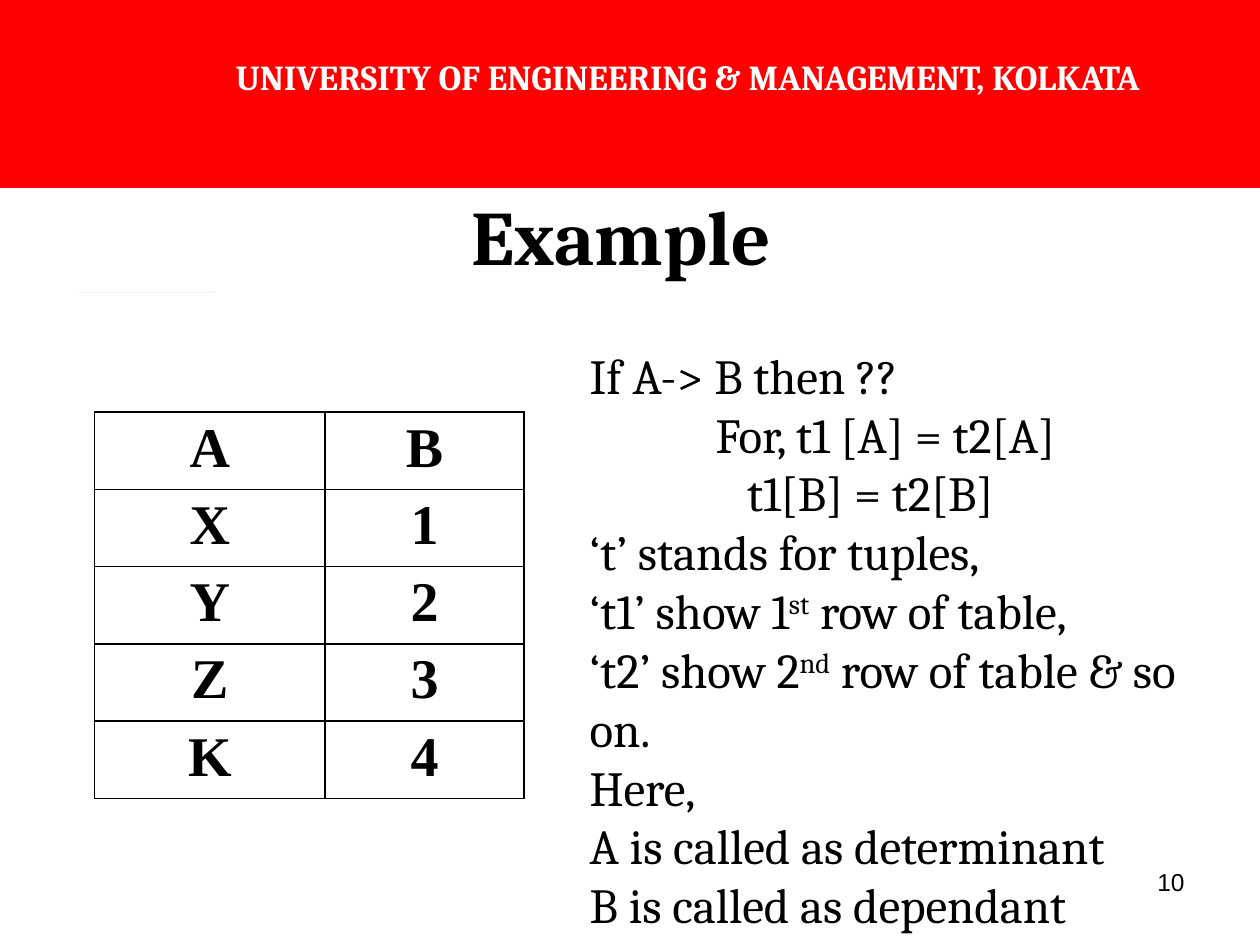
from lxml import etree
from pptx import Presentation
from pptx.dml.color import RGBColor
from pptx.enum.shapes import MSO_SHAPE
from pptx.enum.text import MSO_ANCHOR, MSO_AUTO_SIZE, PP_ALIGN
from pptx.oxml.ns import qn
from pptx.util import Inches, Pt

RECTANGLE = MSO_SHAPE.RECTANGLE
TOP, MIDDLE = MSO_ANCHOR.TOP, MSO_ANCHOR.MIDDLE
NO_AUTOFIT = MSO_AUTO_SIZE.NONE
LEFT, CENTER, RIGHT = PP_ALIGN.LEFT, PP_ALIGN.CENTER, PP_ALIGN.RIGHT

COLORS = {"banner": "FF0000", "accent": "F79646", "ink": "000000", "paper": "FFFFFF"}
PLAIN_TABLE_STYLE = "{2D5ABB26-0587-4C30-8999-92F81FD0307C}"
RELATION = [("A", "B"), ("X", "1"), ("Y", "2"), ("Z", "3"), ("K", "4")]
EXPLANATION = [
    (0, ["If A-> B then ??"]),
    (1, ["For, t1 [A] = t2[A]"]),
    (1.25, ["t1[B] = t2[B]"]),
    (0, ["‘t’ stands for tuples,"]),
    (0, ["‘t1’ show 1", "st", " row of table,"]),
    (0, ["‘t2’ show 2", "nd", " row of table & so on."]),
    (0, ["Here,"]),
    (0, ["A is called as determinant"]),
    (0, ["B is called as dependant"]),
]


def color(name):
    """Return the named palette colour."""
    return RGBColor.from_string(COLORS[name])


def add_run(paragraph, text, size, font="Cambria", ink="ink", bold=False):
    """Append one formatted run to a paragraph."""
    run = paragraph.add_run()
    run.text = text
    run.font.size = Pt(size)
    run.font.name = font
    run.font.bold = bold
    run.font.color.rgb = color(ink)
    return run


def place(shape, box):
    """Move a placeholder to a box given in inches."""
    shape.left, shape.top, shape.width, shape.height = map(Inches, box)


def add_plain_table(slide, box, columns, rows):
    """Add a table without banding, sized by its columns and rows."""
    frame = slide.shapes.add_table(len(rows), len(columns), *map(Inches, box))
    next(frame._element.iter(qn("a:tableStyleId"))).text = PLAIN_TABLE_STYLE
    table = frame.table
    table.first_row = table.horz_banding = False
    for column, width in zip(table.columns, columns):
        column.width = Inches(width)
    for row, height in zip(table.rows, rows):
        row.height = Inches(height)
    return table


def add_borders(cell):
    """Draw a thin line on all four sides of a cell."""
    properties = cell._tc.get_or_add_tcPr()
    for position, side in enumerate(("a:lnL", "a:lnR", "a:lnT", "a:lnB")):
        line = etree.Element(qn(side), w=str(Pt(1)))
        fill = etree.SubElement(line, qn("a:solidFill"))
        etree.SubElement(fill, qn("a:srgbClr"), val=COLORS["ink"])
        properties.insert(position, line)


def build_banner(slide, box):
    """Build the red banner with the university name."""
    banner = add_plain_table(slide, box, [1.17, 8.58, 0.25], [0.42, 0.57, 0.5])
    for cell in banner.iter_cells():
        cell.fill.solid()
        cell.fill.fore_color.rgb = color("banner")
    for first, last in [((0, 0), (0, 1)), ((1, 0), (2, 0)), ((2, 1), (2, 2))]:
        banner.cell(*first).merge(banner.cell(*last))
    university = banner.cell(1, 1).text_frame.paragraphs[0]
    university.alignment = CENTER
    add_run(university, "UNIVERSITY OF ENGINEERING & MANAGEMENT, KOLKATA",
            20, ink="paper", bold=True)


def build_accent(slide, box):
    """Build the hairline accent under the banner."""
    accent = slide.shapes.add_shape(RECTANGLE, *map(Inches, box))
    accent.shadow.inherit = False
    accent.fill.solid()
    accent.fill.fore_color.rgb = color("accent")
    accent.line.fill.background()


def build_title(slide, box):
    """Fill the title placeholder."""
    title = slide.shapes.title
    place(title, box)
    title.text_frame.vertical_anchor = MIDDLE
    heading = title.text_frame.paragraphs[0]
    heading.alignment = CENTER
    add_run(heading, "Example ", 44, bold=True)


def build_relation(slide, box):
    """Build the bordered table of the sample relation."""
    row_height = box[3] / len(RELATION)
    relation = add_plain_table(slide, box, [1.83, 1.58], [row_height] * len(RELATION))
    for row, values in enumerate(RELATION):
        for column, value in enumerate(values):
            cell = relation.cell(row, column)
            cell.margin_top = cell.margin_bottom = Inches(0.04)
            cell.fill.background()
            add_borders(cell)
            entry = cell.text_frame.paragraphs[0]
            entry.alignment = CENTER
            add_run(entry, value, 32, font="Times New Roman", bold=True)


def build_explanation(slide, box):
    """Fill the body placeholder with the unbulleted explanation."""
    body = slide.placeholders[1]
    place(body, box)
    frame = body.text_frame
    frame.word_wrap = True
    frame.auto_size = NO_AUTOFIT
    frame.vertical_anchor = TOP
    for index, (indent, parts) in enumerate(EXPLANATION):
        line = frame.add_paragraph() if index else frame.paragraphs[0]
        properties = line._p.get_or_add_pPr()
        properties.set("marL", str(Inches(indent)))
        properties.set("indent", "0")
        etree.SubElement(properties, qn("a:buNone"))
        line.alignment = LEFT
        line.space_before = Pt(0)
        for part in parts:
            run = add_run(line, part, 28)
            if part in ("st", "nd"):
                run.font._element.set("baseline", "30000")


def build_page_number(slide, box):
    """Build the page number in the lower right corner."""
    frame = slide.shapes.add_textbox(*map(Inches, box)).text_frame
    frame.word_wrap = True
    number = frame.paragraphs[0]
    number.alignment = RIGHT
    add_run(number, "10", 14, font="Arial")


def main():
    """Build the slide and save it."""
    deck = Presentation()
    deck.slide_width, deck.slide_height = Inches(10), Inches(7.5)
    slide = deck.slides.add_slide(deck.slide_layouts[1])
    build_accent(slide, (0.63, 2.32, 1.07, 0))
    build_banner(slide, (0, 0, 10, 1.48))
    build_page_number(slide, (7.17, 6.83, 2.33, 0.52))
    build_title(slide, (0.5, 1.24, 9, 1.25))
    build_relation(slide, (0.75, 3.27, 3.42, 2.97))
    build_explanation(slide, (4.58, 2.69, 5.08, 4.81))
    deck.save("out.pptx")


if __name__ == "__main__":
    main()
